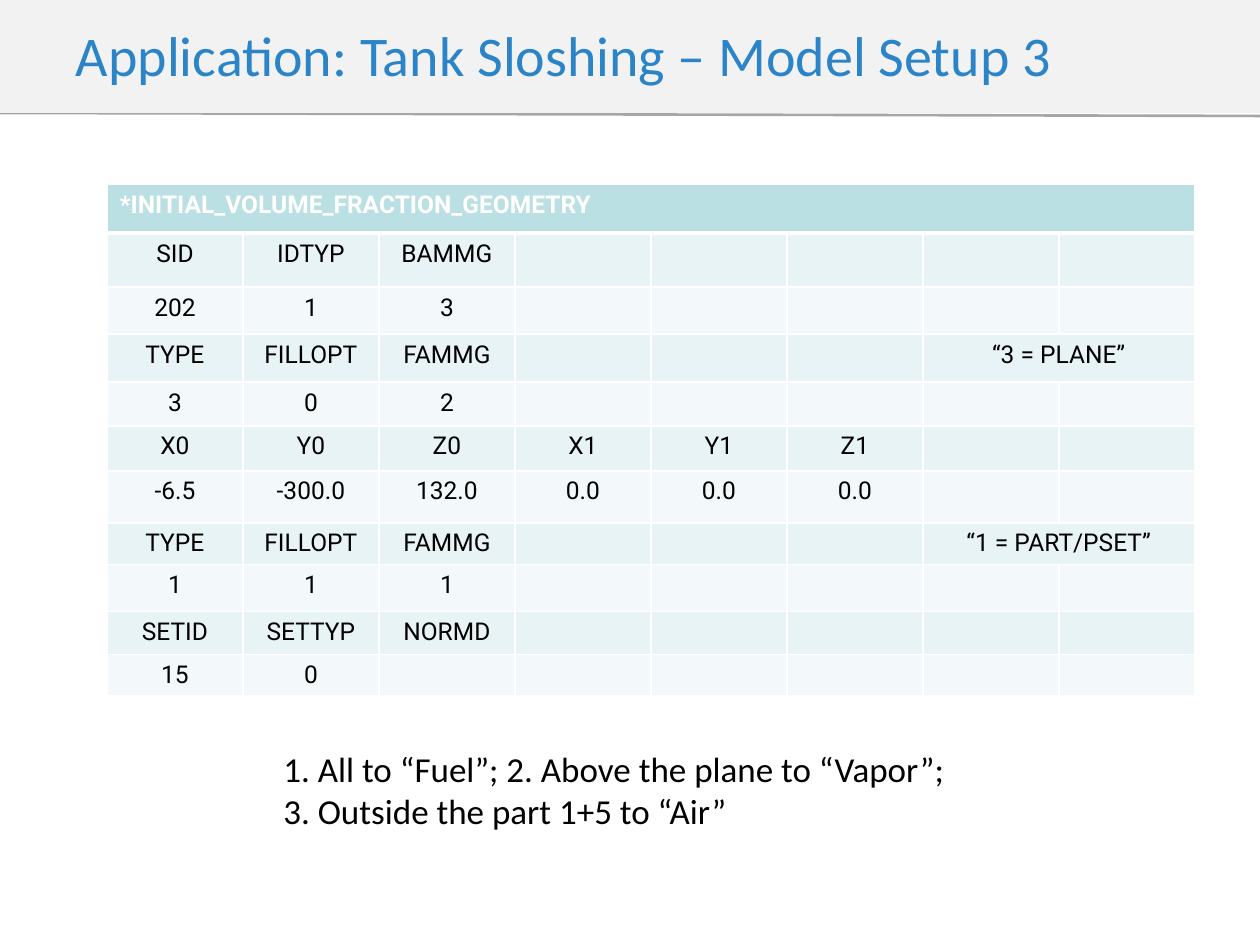
from lxml import etree
from pptx import Presentation
from pptx.dml.color import RGBColor
from pptx.enum import shapes, text
from pptx.oxml.ns import qn
from pptx.util import Emu, Pt

PX = 914400 / 126


def px(n):
    return Emu(round(n * PX))


def color(hex_string):
    return RGBColor.from_string(hex_string)


class Deck:
    WHITE, BLACK, TITLE = "FFFFFF", "000000", "2B84C8"
    BAND, RULE = "F2F2F2", "A6A6A6"
    HEADER, ROWS = "BBE0E3", ("E7F3F4", "F3F9FA")
    BODY, CARD = "Calibri", "Roboto"

    def __init__(self, width, height):
        self.prs = Presentation()
        self.prs.slide_width, self.prs.slide_height = px(width), px(height)
        self.slide = self.prs.slides.add_slide(self.prs.slide_layouts[6])

    def run(self, p, words, font, size, fill, bold=False):
        r = p.add_run()
        r.text = words
        r.font.name, r.font.size, r.font.bold = font, Pt(size), bold
        r.font.color.rgb = color(fill)

    def line(self, x1, y1, x2, y2):
        c = self.slide.shapes.add_connector(
            shapes.MSO_CONNECTOR.STRAIGHT, px(x1), px(y1), px(x2), px(y2))
        c.line.color.rgb = color(self.RULE)
        c.line.width = Pt(1.5)
        etree.SubElement(c._element.spPr, qn("a:effectLst"))

    def title(self, x, y, w, h, words):
        sp = self.slide.shapes.add_shape(
            shapes.MSO_SHAPE.RECTANGLE, px(x), px(y), px(w), px(h))
        sp.shadow.inherit = False
        sp.fill.solid()
        sp.fill.fore_color.rgb = color(self.BAND)
        sp.line.fill.background()
        tf = sp.text_frame
        tf.word_wrap = True
        tf.margin_left = px(76)
        tf.vertical_anchor = text.MSO_ANCHOR.MIDDLE
        p = tf.paragraphs[0]
        p.alignment = text.PP_ALIGN.LEFT
        self.run(p, words, self.BODY, 32, self.TITLE)

    def note(self, x, y, w, h, words):
        box = self.slide.shapes.add_textbox(px(x), px(y), px(w), px(h))
        tf = box.text_frame
        tf.word_wrap = True
        tf.auto_size = text.MSO_AUTO_SIZE.SHAPE_TO_FIT_TEXT
        self.run(tf.paragraphs[0], words, self.BODY, 20, self.BLACK)

    def borders(self, cell, top, bottom):
        tc_pr = cell._tc.get_or_add_tcPr()
        for side, width in (("L", 1), ("R", 1), ("T", top), ("B", bottom)):
            ln = etree.SubElement(tc_pr, qn("a:ln" + side), w=str(Pt(width)))
            fill = etree.SubElement(ln, qn("a:solidFill"))
            etree.SubElement(fill, qn("a:srgbClr"), val=self.WHITE)

    def cell(self, cell, words, row):
        header = row == 0
        self.borders(cell, 3 if row == 1 else 1, 3 if header else 1)
        cell.fill.solid()
        cell.fill.fore_color.rgb = color(
            self.HEADER if header else self.ROWS[(row - 1) % 2])
        p = cell.text_frame.paragraphs[0]
        p.alignment = text.PP_ALIGN.LEFT if header else text.PP_ALIGN.CENTER
        if words:
            self.run(p, words, self.CARD, 14,
                     self.WHITE if header else self.BLACK, header)
        else:
            # Keeps an empty cell from stretching its row
            end = etree.SubElement(p._p, qn("a:endParaRPr"), sz="1400")
            etree.SubElement(end, qn("a:latin"), typeface=self.CARD)

    def table(self, x, y, col_width, cols, heights, rows, merges):
        t = self.slide.shapes.add_table(
            len(rows), cols, px(x), px(y),
            px(col_width * cols), px(sum(heights))).table
        t.first_row = t.horz_banding = False
        for col in t.columns:
            col.width = px(col_width)
        for i, (height, values) in enumerate(zip(heights, rows)):
            t.rows[i].height = px(height)
            for j in range(cols):
                self.cell(t.cell(i, j), values[j] if j < len(values) else "", i)
        for row, first, last in merges:
            t.cell(row, first).merge(t.cell(row, last))


def main():
    deck = Deck(1260, 945)

    # Title band
    deck.line(0, 113, 1273, 116)
    deck.title(0, -4, 1260, 117, "Application: Tank Sloshing – Model Setup 3")

    # Keyword card
    fill_card = ["TYPE", "FILLOPT", "FAMMG", "", "", ""]
    rows = [
        ["*INITIAL_VOLUME_FRACTION_GEOMETRY"],
        ["SID", "IDTYP", "BAMMG"],
        ["202", "1", "3"],
        fill_card + ["“3 = PLANE”"],
        ["3", "0", "2"],
        ["X0", "Y0", "Z0", "X1", "Y1", "Z1"],
        ["-6.5", "-300.0", "132.0", "0.0", "0.0", "0.0"],
        fill_card + ["“1 = PART/PSET”"],
        ["1", "1", "1"],
        ["SETID", "SETTYP", "NORMD"],
        ["15", "0"],
    ]
    heights = [49, 54, 47, 48, 44, 45, 52, 41, 47, 43, 41]
    deck.table(107, 184, 136, 8, heights, rows,
               merges=[(0, 0, 7), (3, 6, 7), (7, 6, 7)])

    # Filling order
    deck.note(271, 741, 703, 97,
              "1. All to “Fuel”; 2. Above the plane to “Vapor”; "
              "3. Outside the part 1+5 to “Air”")

    deck.prs.save("out.pptx")


if __name__ == "__main__":
    main()
